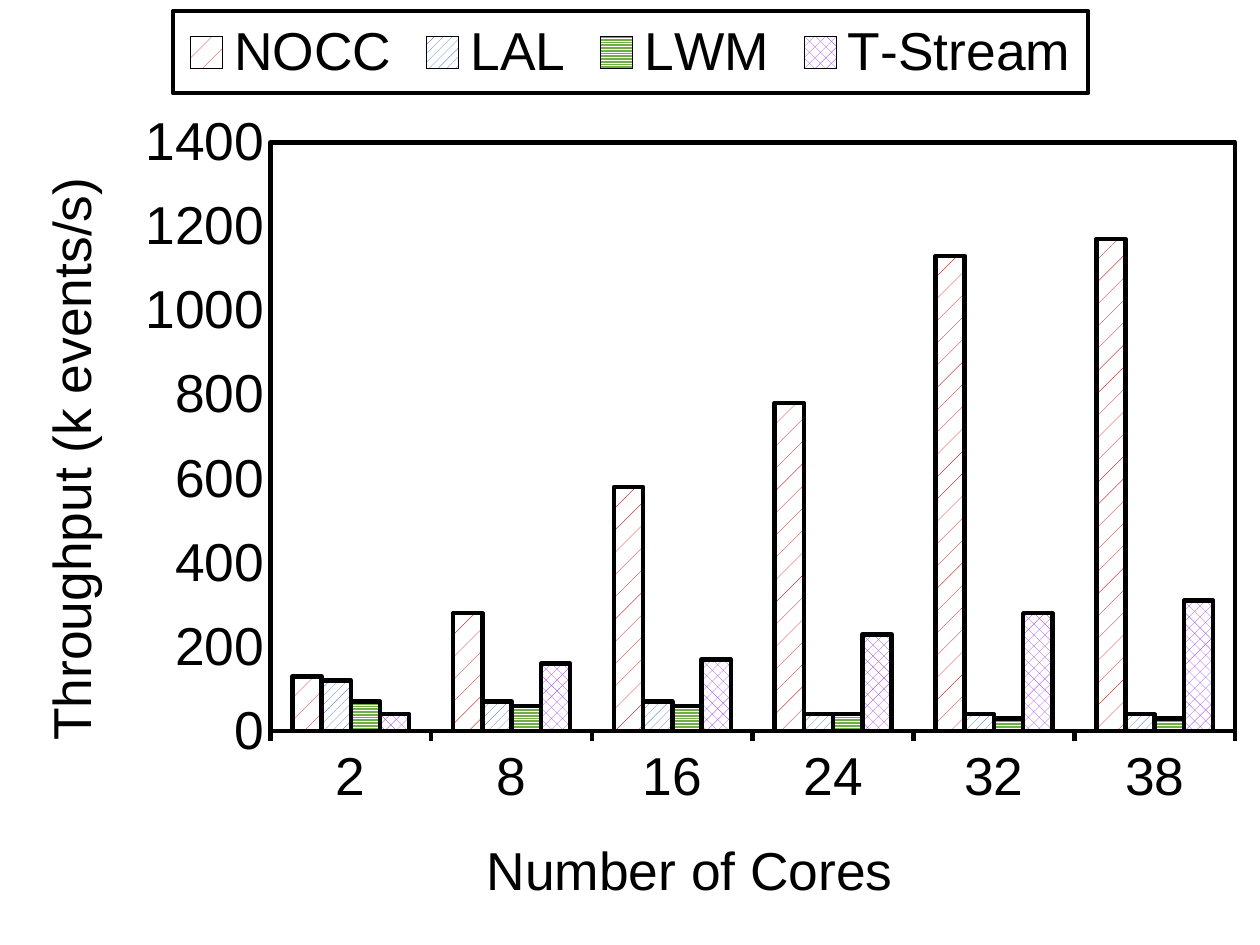
from pptx import Presentation, util as u
from pptx.chart.data import CategoryChartData
from pptx.dml.color import RGBColor
from pptx.enum import chart as ch, dml
from pptx.oxml import parse_xml
from pptx.oxml.ns import nsdecls, qn

WIDE, HIGH = u.Cm(20), u.Cm(15)
FONT, SIZE, INK, PAPER = "Arial", 24, "000000", "FFFFFF"
PAT = dml.MSO_PATTERN
CORES = ["2", "8", "16", "24", "32", "38"]
SERIES = [
    ("NOCC", [130, 280, 580, 780, 1130, 1170], PAT.PERCENT_5, "C90001"),
    ("LAL", [120, 70, 70, 40, 40, 40], PAT.WIDE_UPWARD_DIAGONAL, "4472C4"),
    ("LWM", [70, 60, 60, 40, 30, 30], PAT.DARK_HORIZONTAL, "70AD47"),
    ("T-Stream", [40, 160, 170, 230, 280, 310], PAT.PERCENT_50, "A345EE"),
]
PLOT = (1.69, 0.89, 6.03, 3.68)
LEGEND = (1.08, 0.07, 5.72, 0.51)


def color(code):
    return RGBColor.from_string(code)


def style(font):
    font.name, font.size, font.bold = FONT, u.Pt(SIZE), False
    font.color.rgb = color(INK)


def stroke(line):
    line.width = u.Pt(2)
    line.color.rgb = color(INK)


def layout(left, top, wide=None, high=None, inner=False):
    parts = [("x", left, WIDE), ("y", top, HIGH)]
    if wide:
        parts += [("w", wide, WIDE), ("h", high, HIGH)]
    tags = '<c:layoutTarget val="inner"/>' if inner else ""
    tags += '<c:xMode val="edge"/><c:yMode val="edge"/>'
    tags += "".join(f'<c:{key} val="{u.Inches(size) / full:.4f}"/>'
                    for key, size, full in parts)
    return parse_xml(f'<c:layout {nsdecls("c")}><c:manualLayout>{tags}'
                     "</c:manualLayout></c:layout>")


def place(node, index, *box, **opts):
    for old in node.findall(qn("c:layout")):
        node.remove(old)
    node.insert(index, layout(*box, **opts))


def frame():
    return parse_xml(f'<c:spPr {nsdecls("c", "a")}><a:noFill/><a:ln w="{u.Pt(2)}">'
                     f'<a:solidFill><a:srgbClr val="{INK}"/></a:solidFill>'
                     "</a:ln></c:spPr>")


def label(words, axis, left, top, turn=0):
    title = axis.axis_title
    run = title.text_frame.paragraphs[0].add_run()
    run.text = words
    style(run.font)
    node = title._element
    body = next(node.iter(qn("a:bodyPr")))
    body.set("rot", str(turn * 60000))
    body.set("vert", "horz")
    place(node, 1, left, top)


deck = Presentation()
deck.slide_width = WIDE
deck.slide_height = HIGH
deck.element.sldSz.attrib.pop("type", None)
slide = deck.slides.add_slide(deck.slide_layouts[6])

data = CategoryChartData()
data.categories = CORES
for name, vals, _, _ in SERIES:
    data.add_series(name, vals)
chart = slide.shapes.add_chart(
    ch.XL_CHART_TYPE.COLUMN_CLUSTERED, 0, 0, WIDE, HIGH, data).chart
chart.has_title = False
style(chart.font)

bars = chart.plots[0]
bars.gap_width, bars.overlap, bars.vary_by_categories = 150, 0, False
for bar, (_, _, pattern, hue) in zip(bars.series, SERIES):
    fill = bar.format.fill
    fill.patterned()
    fill.pattern = pattern
    fill.fore_color.rgb, fill.back_color.rgb = color(hue), color(PAPER)
    stroke(bar.format.line)

cores, rate = chart.category_axis, chart.value_axis
for axis in (cores, rate):
    axis.has_major_gridlines = False
    axis.minor_tick_mark = ch.XL_TICK_MARK.NONE
    style(axis.tick_labels.font)
cores.major_tick_mark = ch.XL_TICK_MARK.OUTSIDE
stroke(cores.format.line)
rate.major_tick_mark = ch.XL_TICK_MARK.NONE
rate.format.line.fill.background()
rate.minimum_scale, rate.maximum_scale, rate.major_unit = 0, 1400, 200
label("Number of Cores", cores, 2.98, 5.16)
label("Throughput (k events/s)", rate, 0.17, 1.05, turn=-90)

chart.has_legend = True
key = chart.legend
key.position = ch.XL_LEGEND_POSITION.TOP
key.include_in_layout = False
style(key.font)
place(key._element, 1, *LEGEND)
key._element.find(qn("c:txPr")).addprevious(frame())

area = chart._chartSpace.chart.plotArea
place(area, 0, *PLOT, inner=True)
area.append(frame())

deck.save("out.pptx")
